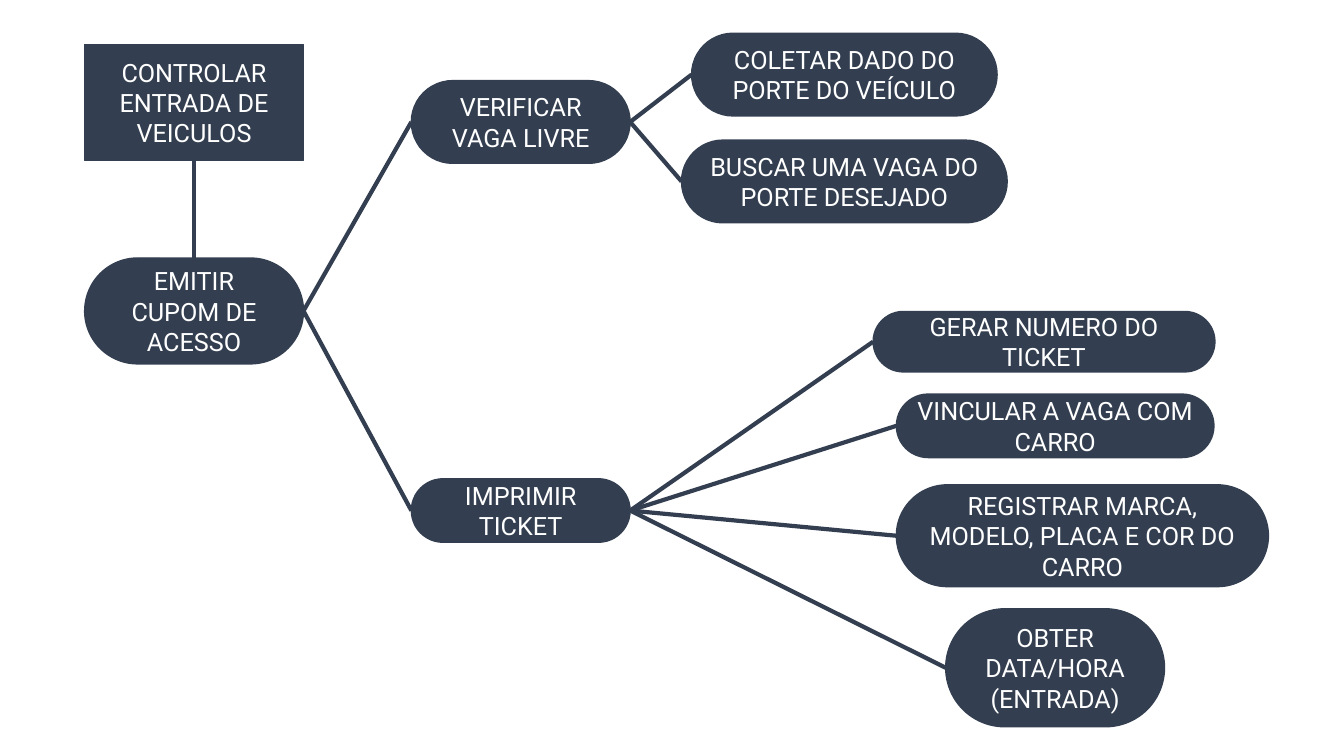
"""Build a function tree of a car park's entry control."""
from dataclasses import dataclass

from lxml.etree import SubElement
from pptx import Presentation
from pptx.dml.color import RGBColor
from pptx.enum.shapes import MSO_CONNECTOR, MSO_SHAPE
from pptx.enum.text import MSO_ANCHOR, PP_ALIGN
from pptx.oxml.ns import qn
from pptx.shapes.autoshape import Shape
from pptx.slide import Slide
from pptx.util import Inches, Pt

COLORS = {"node": "333F50", "text": "FFFFFF"}
FONT = "Roboto"
TOP, LEFT, BOTTOM, RIGHT = range(4)


@dataclass
class Node:
    key: str
    text: str
    left: float
    top: float
    width: float
    height: float
    bend: float = 0.5


@dataclass
class Link:
    start: str
    end: str
    exit: int = RIGHT
    entry: int = LEFT


NODES = [
    Node("control", "CONTROLAR ENTRADA DE VEICULOS", 0.84, 0.44, 2.17, 1.15, 0),
    Node("coupon", "EMITIR CUPOM DE ACESSO", 0.84, 2.56, 2.17, 1.05),
    Node("check", "VERIFICAR VAGA LIVRE", 4.08, 0.8, 2.17, 0.82),
    Node("print", "IMPRIMIR TICKET", 4.08, 4.75, 2.17, 0.63),
    Node("size", "COLETAR DADO DO PORTE DO VEÍCULO", 6.86, 0.33, 3.03, 0.82),
    Node("search", "BUSCAR UMA VAGA DO PORTE DESEJADO", 6.76, 1.39, 3.23, 0.82),
    Node("number", "GERAR NUMERO DO TICKET", 8.66, 3.09, 3.39, 0.6),
    Node("assign", "VINCULAR A VAGA COM CARRO", 8.89, 3.91, 3.15, 0.63),
    Node("car", "REGISTRAR MARCA, MODELO, PLACA E COR DO CARRO", 8.89, 4.81, 3.69, 1.01),
    Node("time", "OBTER DATA/HORA (ENTRADA)", 9.38, 6.04, 2.17, 1.17),
]

TREE = {
    "coupon": ["check", "print"],
    "check": ["size", "search"],
    "print": ["number", "assign", "car", "time"],
}
LINKS = [Link("control", "coupon", BOTTOM, TOP)] + [
    Link(start, end) for start, ends in TREE.items() for end in ends
]


def color(name: str) -> RGBColor:
    """Return a named colour of the palette."""
    return RGBColor.from_string(COLORS[name])


def draw_node(slide: Slide, node: Node) -> Shape:
    """Draw one step with its centred label."""
    box = (Inches(n) for n in (node.left, node.top, node.width, node.height))
    shape = slide.shapes.add_shape(MSO_SHAPE.ROUNDED_RECTANGLE, *box)
    shape.adjustments[0] = node.bend
    shape.shadow.inherit = False
    shape.fill.solid()
    shape.fill.fore_color.rgb = color("node")
    shape.line.color.rgb = color("node")
    shape.line.width = Pt(1)
    frame = shape.text_frame
    frame.text = node.text
    frame.word_wrap = True
    frame.vertical_anchor = MSO_ANCHOR.MIDDLE
    label = frame.paragraphs[0]
    label.alignment = PP_ALIGN.CENTER
    font = label.runs[0].font
    font.name = FONT
    font.size = Pt(18)
    font.color.rgb = color("text")
    return shape


def draw_link(slide: Slide, link: Link, shapes: dict[str, Shape]) -> None:
    """Join two steps with a line glued to their sides."""
    line = slide.shapes.add_connector(MSO_CONNECTOR.STRAIGHT, 0, 0, 0, 0)
    line.begin_connect(shapes[link.start], link.exit)
    line.end_connect(shapes[link.end], link.entry)
    line.line.color.rgb = color("node")
    line.line.width = Pt(3)
    SubElement(line._element.spPr, qn("a:effectLst"))


def main() -> None:
    """Draw the whole tree and save it."""
    deck = Presentation()
    deck.slide_width = Inches(13.33)
    deck.slide_height = Inches(7.5)
    slide = deck.slides.add_slide(deck.slide_layouts[6])
    shapes = {node.key: draw_node(slide, node) for node in NODES}
    for link in LINKS:
        draw_link(slide, link, shapes)
    deck.save("out.pptx")


if __name__ == "__main__":
    main()
